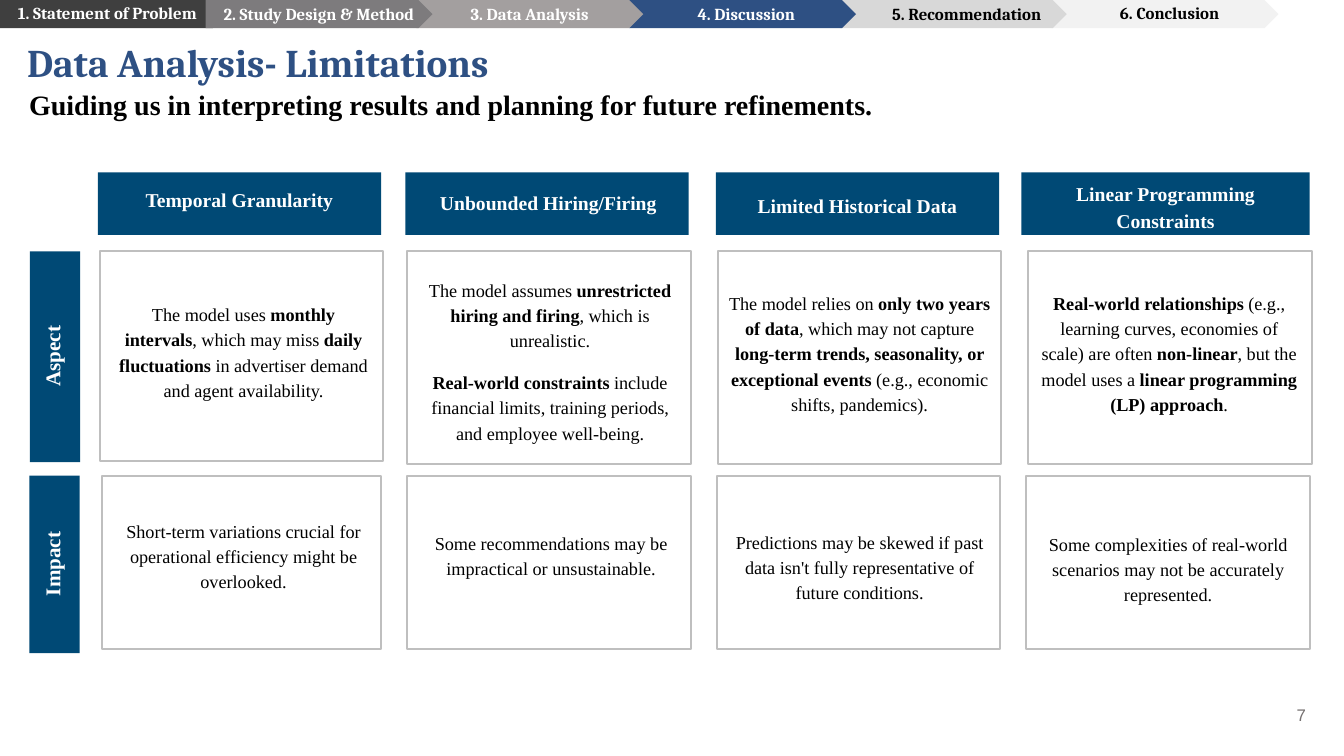
from pptx import Presentation
from pptx.dml.color import RGBColor
from pptx.enum import shapes, text
from pptx.util import Inches, Pt

NAVY = RGBColor(0x00, 0x49, 0x75)
BLUE = RGBColor(0x2E, 0x50, 0x83)
WHITE = RGBColor(0xFF, 0xFF, 0xFF)
BLACK = RGBColor(0x00, 0x00, 0x00)
BORDER = RGBColor(0xBF, 0xBF, 0xBF)
GRAY = RGBColor(0x75, 0x70, 0x70)
CHARCOAL = RGBColor(0x3F, 0x3F, 0x3F)
STONE = RGBColor(0x7D, 0x7B, 0x7D)
TAUPE = RGBColor(0xA3, 0x9F, 0x9F)
SILVER = RGBColor(0xD8, 0xD8, 0xD8)
MIST = RGBColor(0xF2, 0xF2, 0xF2)

SERIF = "Times New Roman"
HEADING = "Cambria"
LEFT, CENTER, RIGHT = text.PP_ALIGN.LEFT, text.PP_ALIGN.CENTER, text.PP_ALIGN.RIGHT
RECT = shapes.MSO_SHAPE.RECTANGLE
PENTAGON = shapes.MSO_SHAPE.PENTAGON

STEPS = [
    ("1. Statement of Problem", 0, CHARCOAL, WHITE, (0.08, -0.02, 2.04, 0.3)),
    ("6. Conclusion", 10.43, MIST, BLACK, (11.01, -0.02, 1.4, 0.3)),
    ("5. Recommendation", 8.33, SILVER, BLACK, (8.75, -0.01, 1.91, 0.3)),
    ("4. Discussion", 6.24, BLUE, WHITE, (6.82, -0.01, 1.33, 0.3)),
    ("3. Data Analysis", 4.13, TAUPE, WHITE, (4.57, -0.01, 1.57, 0.3)),
    ("2. Study Design & Method", 2.04, STONE, WHITE, (2.12, -0.01, 2.44, 0.3)),
]

HEADERS = [
    ("Temporal Granularity", 0.97, 2.81, (1.14, 1.82, 2.47, 0.34), 1),
    ("Unbounded Hiring/Firing", 4.02, 2.81, (4.01, 1.84, 2.86, 0.34), 1),
    ("Limited Historical Data", 7.1, 2.81, (7.27, 1.84, 2.47, 0.34), 1.15),
    ("Linear Programming Constraints", 10.13, 2.86, (10.27, 1.72, 2.58, 0.61), 1.15),
]

CARDS = [
    ((0.99, 2.49, 2.81, 2.08), (1.03, 2.88, 2.77, 1.18),
     ["The model uses **monthly intervals**, which may miss **daily fluctuations** "
      "in advertiser demand and agent availability."]),
    ((4.04, 2.49, 2.81, 2.11), (4.05, 2.64, 2.81, 1.85),
     ["The model assumes **unrestricted hiring and firing**, which is unrealistic.",
      "**Real-world constraints** include financial limits, training periods, "
      "and employee well-being."]),
    ((7.12, 2.49, 2.81, 2.11), (7.12, 2.77, 2.81, 1.43),
     ["The model relies on **only two years of data**, which may not capture "
      "**long-term trends, seasonality, or exceptional events** "
      "(e.g., economic shifts, pandemics)."]),
    ((10.2, 2.49, 2.81, 2.11), (10.19, 2.77, 2.81, 1.43),
     ["**Real-world relationships** (e.g., learning curves, economies of scale) "
      "are often **non-linear**, but the model uses a "
      "**linear programming (LP) approach**."]),
    ((1.01, 4.72, 2.77, 1.72), (1.01, 5.03, 2.81, 0.92),
     ["Short-term variations crucial for operational efficiency might be overlooked."]),
    ((4.04, 4.72, 2.81, 1.72), (4.06, 5.15, 2.81, 0.67),
     ["Some recommendations may be impractical or unsustainable."]),
    ((7.11, 4.72, 2.81, 1.72), (7.12, 5.14, 2.81, 0.92),
     ["Predictions may be skewed if past data isn't fully representative "
      "of future conditions."]),
    ((10.18, 4.72, 2.81, 1.72), (10.18, 5.16, 2.81, 0.92),
     ["Some complexities of real-world scenarios may not be accurately represented."]),
]

ROW_LABELS = [
    ("Aspect", (-0.5, 3.29, 2.09, 0.5), (-0.43, 3.36, 1.89, 0.35)),
    ("Impact", (-0.34, 5.35, 1.76, 0.5), (-0.43, 5.42, 1.89, 0.35)),
]


def inches(box):
    return [Inches(v) for v in box]


def write_text(sp, paragraphs, size=12, font=SERIF, color=BLACK, bold=False,
               align=LEFT, spacing=1, inset=0.05):
    tf = sp.text_frame
    tf.word_wrap = True
    tf.auto_size = text.MSO_AUTO_SIZE.NONE
    tf.vertical_anchor = text.MSO_ANCHOR.TOP
    tf.margin_left = tf.margin_right = Inches(0.1)
    tf.margin_top = tf.margin_bottom = Inches(inset)
    for i, content in enumerate(paragraphs):
        p = tf.add_paragraph() if i else tf.paragraphs[0]
        p.alignment = align
        p.line_spacing = spacing
        p.space_before = Pt(12 if i else 0)
        for j, part in enumerate(content.split("**")):
            if part:
                r = p.add_run()
                r.text = part
                r.font.size = Pt(size)
                r.font.name = font
                r.font.bold = bold or j % 2 == 1
                r.font.color.rgb = color


def add_text(s, box, *paragraphs, rotation=0, **fmt):
    sp = s.shapes.add_textbox(*inches(box))
    sp.rotation = rotation
    write_text(sp, paragraphs, **fmt)


def add_block(s, box, fill=None, line=None, kind=RECT, rotation=0):
    sp = s.shapes.add_shape(kind, *inches(box))
    sp.shadow.inherit = False
    sp.rotation = rotation
    if fill is None:
        sp.fill.background()
    else:
        sp.fill.solid()
        sp.fill.fore_color.rgb = fill
    if line is None:
        sp.line.fill.background()
    else:
        sp.line.color.rgb = line
        sp.line.width = Pt(1.5)


def add_title(s, box, title):
    sp = s.shapes.title
    sp.left, sp.top, sp.width, sp.height = inches(box)
    write_text(sp, [title], size=28, font=HEADING, color=BLUE, bold=True)


def add_progress_bar(s):
    for _, left, fill, _, _ in STEPS:
        add_block(s, (left, 0, 2.25, 0.28), fill=fill, kind=PENTAGON)
    for label, _, _, color, box in STEPS:
        add_text(s, box, label, font=HEADING, color=color, bold=True)


def main():
    prs = Presentation()
    prs.slide_width, prs.slide_height = Inches(13.33), Inches(7.5)
    s = prs.slides.add_slide(prs.slide_layouts[5])

    add_progress_bar(s)
    add_title(s, (0.17, 0.33, 6.65, 0.57), "Data Analysis- Limitations")
    add_text(s, (0.19, 0.82, 9.01, 0.44),
             "Guiding us in interpreting results and planning for future refinements.",
             size=20, bold=True)

    for label, left, width, box, spacing in HEADERS:
        add_block(s, (left, 1.71, width, 0.62), fill=NAVY)
        add_text(s, box, label, size=14, color=WHITE, bold=True,
                 align=CENTER, spacing=spacing)

    for frame, box, paragraphs in CARDS:
        add_block(s, frame, line=BORDER)
        add_text(s, box, *paragraphs, size=13, align=CENTER, spacing=1.15, inset=0.1)

    for label, bar, box in ROW_LABELS:
        add_block(s, bar, fill=NAVY, rotation=90)
        add_text(s, box, label, rotation=270, size=15, color=WHITE, bold=True,
                 align=CENTER)

    add_text(s, (10.63, 6.94, 2.42, 0.3), "7", font="Arial", color=GRAY, align=RIGHT)
    prs.save("out.pptx")


if __name__ == "__main__":
    main()
